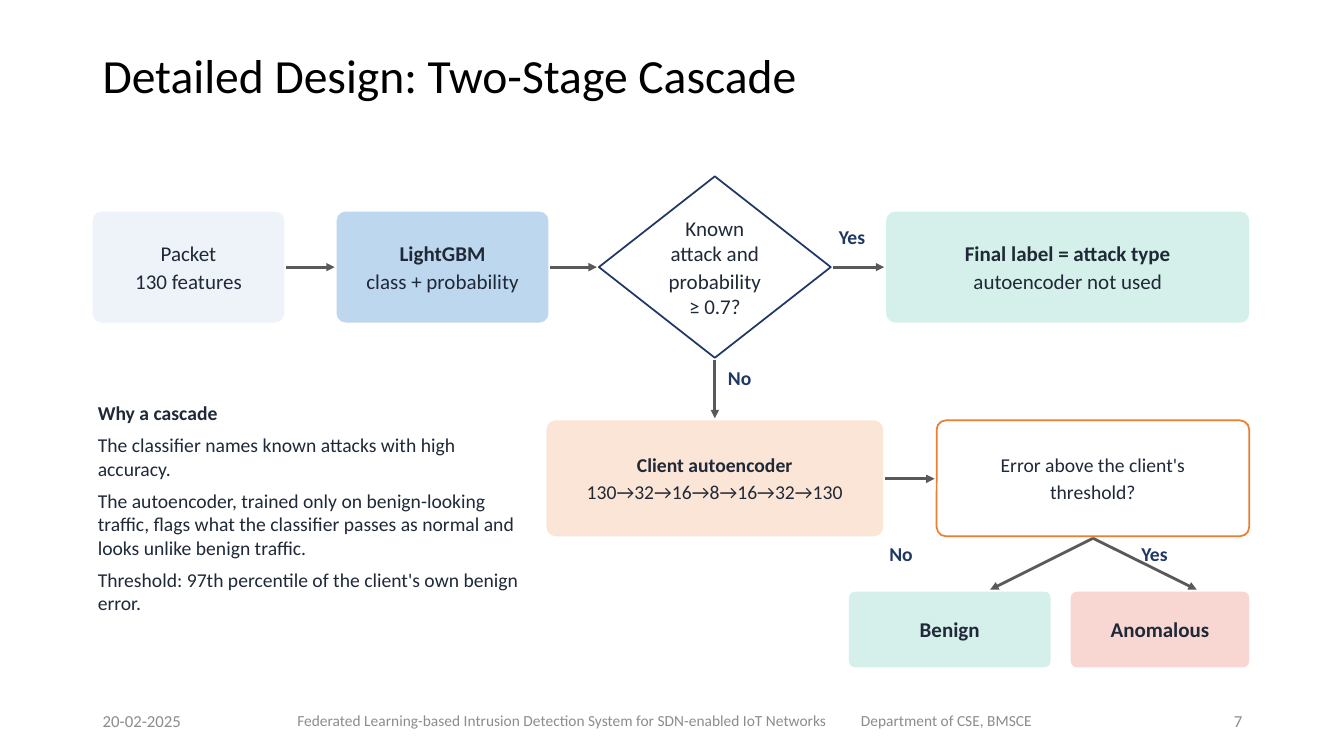
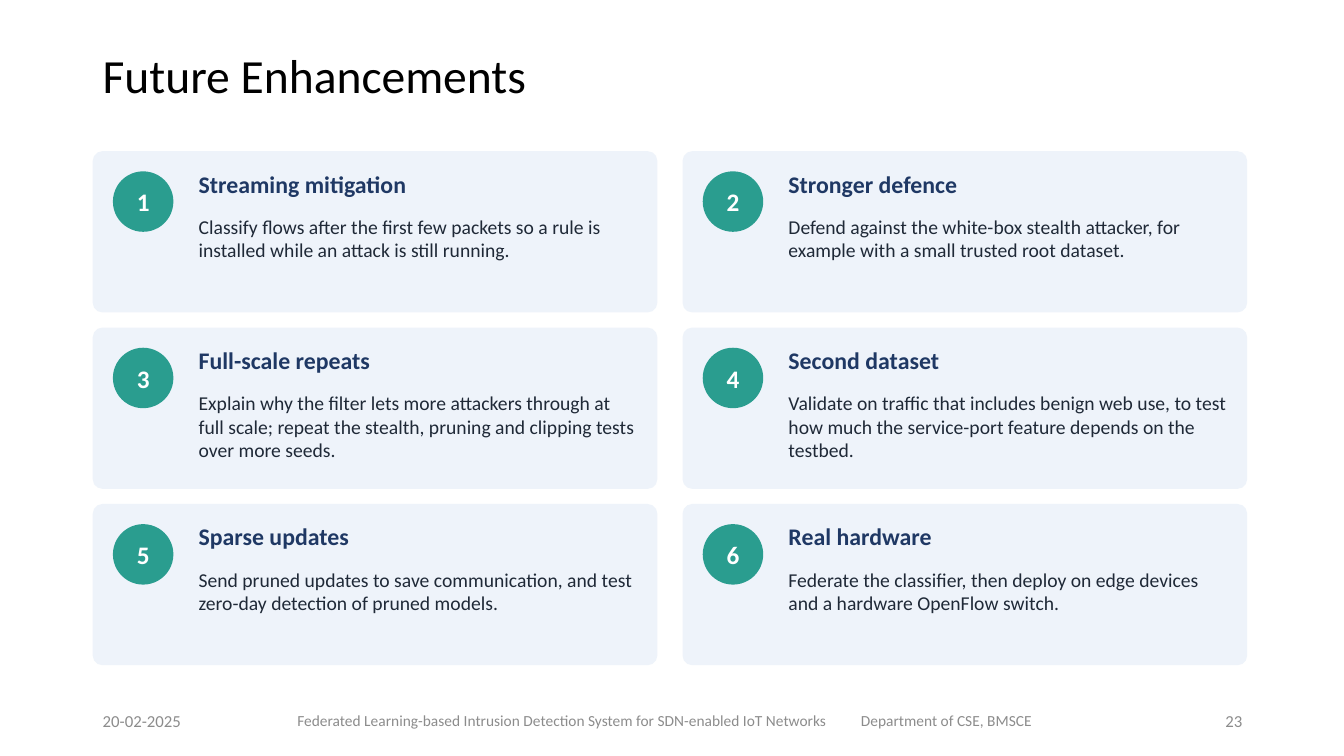
from lxml import etree
from pptx import Presentation
from pptx.dml.color import RGBColor
from pptx.enum.shapes import MSO_CONNECTOR, MSO_SHAPE
from pptx.enum.text import MSO_ANCHOR, PP_ALIGN
from pptx.oxml.ns import qn
from pptx.util import Inches, Pt

ROUNDED, DIAMOND, OVAL = MSO_SHAPE.ROUNDED_RECTANGLE, MSO_SHAPE.DIAMOND, MSO_SHAPE.OVAL
STRAIGHT = MSO_CONNECTOR.STRAIGHT
TOP, MIDDLE = MSO_ANCHOR.TOP, MSO_ANCHOR.MIDDLE
LEFT, CENTER, RIGHT = PP_ALIGN.LEFT, PP_ALIGN.CENTER, PP_ALIGN.RIGHT

FONT = "Calibri"
BLACK = RGBColor(0x00, 0x00, 0x00)
WHITE = RGBColor(0xFF, 0xFF, 0xFF)
INK = RGBColor(0x1F, 0x29, 0x37)
NAVY = RGBColor(0x1F, 0x38, 0x64)
FOOTER_GRAY = RGBColor(0x8C, 0x8C, 0x8C)
ARROW_GRAY = RGBColor(0x59, 0x59, 0x59)
PALE_BLUE = RGBColor(0xEE, 0xF3, 0xFA)
SKY_BLUE = RGBColor(0xBD, 0xD7, 0xEE)
MINT = RGBColor(0xD5, 0xEF, 0xEA)
TEAL = RGBColor(0x2A, 0x9D, 0x8F)
PEACH = RGBColor(0xFB, 0xE5, 0xD6)
ORANGE = RGBColor(0xED, 0x7D, 0x31)
ROSE = RGBColor(0xF8, 0xD7, 0xD3)

MARGIN = 0.92
ARROW_GAP = 0.02
FRAME_INSETS = (0.1, 0.05)
NODE_INSETS = (0.08, 0.04)
BODY_INSETS = (0.05, 0.03)

ENHANCEMENTS = [
    ("Streaming mitigation",
     "Classify flows after the first few packets so a rule is installed while "
     "an attack is still running."),
    ("Stronger defence",
     "Defend against the white-box stealth attacker, for example with a small "
     "trusted root dataset."),
    ("Full-scale repeats",
     "Explain why the filter lets more attackers through at full scale; repeat "
     "the stealth, pruning and clipping tests over more seeds."),
    ("Second dataset",
     "Validate on traffic that includes benign web use, to test how much the "
     "service-port feature depends on the testbed."),
    ("Sparse updates",
     "Send pruned updates to save communication, and test zero-day detection "
     "of pruned models."),
    ("Real hardware",
     "Federate the classifier, then deploy on edge devices and a hardware "
     "OpenFlow switch."),
]


# Building blocks: a box is (left, top, width, height) in inches
def inches(box):
    return [Inches(round(value, 2)) for value in box]


def write(shape, lines, size, color, bold_lines=0, align=LEFT, anchor=TOP,
          insets=BODY_INSETS, space_after=0):
    """Fill a shape with one paragraph per line; the first bold_lines are bold."""
    frame = shape.text_frame
    frame.word_wrap = True
    frame.vertical_anchor = anchor
    frame.margin_left = frame.margin_right = Inches(insets[0])
    frame.margin_top = frame.margin_bottom = Inches(insets[1])
    frame.text = "\n".join(lines)
    for index, paragraph in enumerate(frame.paragraphs):
        paragraph.alignment = align
        paragraph.space_after = Pt(space_after)
        for run in paragraph.runs:
            run.font.name = FONT
            run.font.size = Pt(size)
            run.font.bold = index < bold_lines
            run.font.color.rgb = color


def add_text(slide, box, lines, size, color, **style):
    shape = slide.shapes.add_textbox(*inches(box))
    write(shape, lines, size, color, **style)
    return shape


def add_panel(slide, kind, box, fill, outline=None, corner=0.08):
    shape = slide.shapes.add_shape(kind, *inches(box))
    shape.shadow.inherit = False
    shape.fill.solid()
    shape.fill.fore_color.rgb = fill
    if outline is None:
        shape.line.fill.background()
    else:
        shape.line.color.rgb = outline
        shape.line.width = Pt(1.25)
    if kind == ROUNDED:
        shape.adjustments[0] = corner
    return shape


def add_node(slide, box, lines, fill, kind=ROUNDED, outline=None, size=15,
             color=INK, bold_lines=0):
    shape = add_panel(slide, kind, box, fill, outline)
    write(shape, lines, size, color, bold_lines, CENTER, MIDDLE, NODE_INSETS, 2)


def add_arrow(slide, start, end):
    connector = slide.shapes.add_connector(STRAIGHT, *inches(start + end))
    connector.line.color.rgb = ARROW_GRAY
    connector.line.width = Pt(2)
    etree.SubElement(connector.line._get_or_add_ln(), qn("a:tailEnd"), type="triangle")
    etree.SubElement(connector._element.spPr, qn("a:effectLst"))


def add_arrow_right(slide, source, target):
    middle = source[1] + source[3] / 2
    add_arrow(slide, (source[0] + source[2] + ARROW_GAP, middle),
              (target[0] - ARROW_GAP, middle))


def add_branch_label(slide, left, top, text):
    add_text(slide, (left, top, 0.6, 0.4), [text], 14, NAVY, bold_lines=1,
             space_after=6)


# Shared title and footer
def add_base_slide(presentation, title, number):
    slide = presentation.slides.add_slide(presentation.slide_layouts[6])
    heading = add_text(slide, (MARGIN, 0.3, 10.9, 0.95), [title], 34, BLACK,
                       anchor=MIDDLE, insets=FRAME_INSETS)
    heading.text_frame.paragraphs[0].line_spacing = 0.9
    footer = [
        (MARGIN, 1.9, "20-02-2025", 12, LEFT),
        (2.85, 5.55, "Federated Learning-based Intrusion Detection System for "
         "SDN-enabled IoT Networks", 11, LEFT),
        (8.44, 2.2, "Department of CSE, BMSCE", 11, LEFT),
        (11.42, 1, str(number), 12, RIGHT),
    ]
    for left, width, text, size, align in footer:
        add_text(slide, (left, 6.95, width, 0.4), [text], size, FOOTER_GRAY,
                 align=align, anchor=MIDDLE, insets=FRAME_INSETS)
    return slide


# Upper row: classifier stage
def add_classifier_stage(slide, left, top):
    height = 1.1
    packet = (left, top, 1.9, height)
    classifier = (left + 2.42, top, 2.1, height)
    decision = (left + 5.02, top - 0.35, 2.3, 1.8)
    final = (left + 7.87, top, 3.6, height)
    add_node(slide, packet, ["Packet", "130 features"], PALE_BLUE)
    add_node(slide, classifier, ["LightGBM", "class + probability"], SKY_BLUE,
             bold_lines=1)
    add_node(slide, decision, ["Known attack and", "probability ≥ 0.7?"], WHITE,
             kind=DIAMOND, outline=NAVY)
    add_node(slide, final, ["Final label = attack type", "autoencoder not used"],
             MINT, bold_lines=1)
    row = [packet, classifier, decision, final]
    for source, target in zip(row, row[1:]):
        add_arrow_right(slide, source, target)
    add_branch_label(slide, left + 7.35, top + 0.1, "Yes")
    return decision


# Lower right: autoencoder stage with its two outcomes
def add_autoencoder_stage(slide, left, top, decision):
    height = 1.15
    autoencoder = (left, top, 3.34, height)
    check = (left + 3.87, top, 3.1, height)
    outcome_top = top + 1.7
    add_node(slide, autoencoder, ["Client autoencoder", "130→32→16→8→16→32→130"],
             PEACH, size=14, bold_lines=1)
    add_node(slide, check, ["Error above the client's", "threshold?"], WHITE,
             outline=ORANGE, size=14)
    add_arrow_right(slide, autoencoder, check)

    center = decision[0] + decision[2] / 2
    decision_bottom = decision[1] + decision[3]
    add_arrow(slide, (center, decision_bottom + ARROW_GAP), (center, top - ARROW_GAP))
    add_branch_label(slide, center + 0.08, decision_bottom + 0.05, "No")

    fork = (check[0] + check[2] / 2, top + height + ARROW_GAP)
    outcomes = [
        ("Benign", MINT, 3, 2, 4.4, "No", 3.35),
        ("Anomalous", ROSE, 5.2, 1.77, 6.45, "Yes", 5.85),
    ]
    for text, fill, offset, width, tip, label, label_offset in outcomes:
        add_node(slide, (left + offset, outcome_top, width, 0.75), [text], fill,
                 bold_lines=1)
        add_arrow(slide, fork, (left + tip, outcome_top - ARROW_GAP))
        add_branch_label(slide, left + label_offset, top + 1.18, label)


# Lower left: rationale
def add_rationale(slide, box):
    add_text(slide, box, [
        "Why a cascade",
        "The classifier names known attacks with high accuracy.",
        "The autoencoder, trained only on benign-looking traffic, flags what the "
        "classifier passes as normal and looks unlike benign traffic.",
        "Threshold: 97th percentile of the client's own benign error.",
    ], 14, INK, bold_lines=1, space_after=6)


def build_cascade_slide(presentation):
    slide = add_base_slide(presentation, "Detailed Design: Two-Stage Cascade", 7)
    decision = add_classifier_stage(slide, MARGIN, 2.1)
    add_autoencoder_stage(slide, 5.42, 4.17, decision)
    add_rationale(slide, (MARGIN, 3.95, 4.3, 2.7))


# Numbered card
def add_card(slide, box, number, heading, body):
    left, top, width, height = box
    text_left, text_width = left + 1, width - 1.15
    add_panel(slide, ROUNDED, box, PALE_BLUE, corner=0.06)
    add_node(slide, (left + 0.2, top + 0.2, 0.6, 0.6), [str(number)], TEAL,
             kind=OVAL, size=18, color=WHITE, bold_lines=1)
    add_text(slide, (text_left, top + 0.15, text_width, 0.45), [heading], 17, NAVY,
             bold_lines=1, space_after=6)
    add_text(slide, (text_left, top + 0.6, text_width, height - 0.6), [body], 14, INK,
             space_after=6)


def build_enhancements_slide(presentation):
    slide = add_base_slide(presentation, "Future Enhancements", 23)
    width, height, column_gap, row_gap = 5.6, 1.6, 0.25, 0.15
    for index, (heading, body) in enumerate(ENHANCEMENTS):
        row, column = divmod(index, 2)
        box = (MARGIN + column * (width + column_gap),
               1.5 + row * (height + row_gap), width, height)
        add_card(slide, box, index + 1, heading, body)


def main():
    presentation = Presentation()
    presentation.slide_width = Inches(13.33)
    presentation.slide_height = Inches(7.5)
    build_cascade_slide(presentation)
    build_enhancements_slide(presentation)
    presentation.save("out.pptx")


if __name__ == "__main__":
    main()
